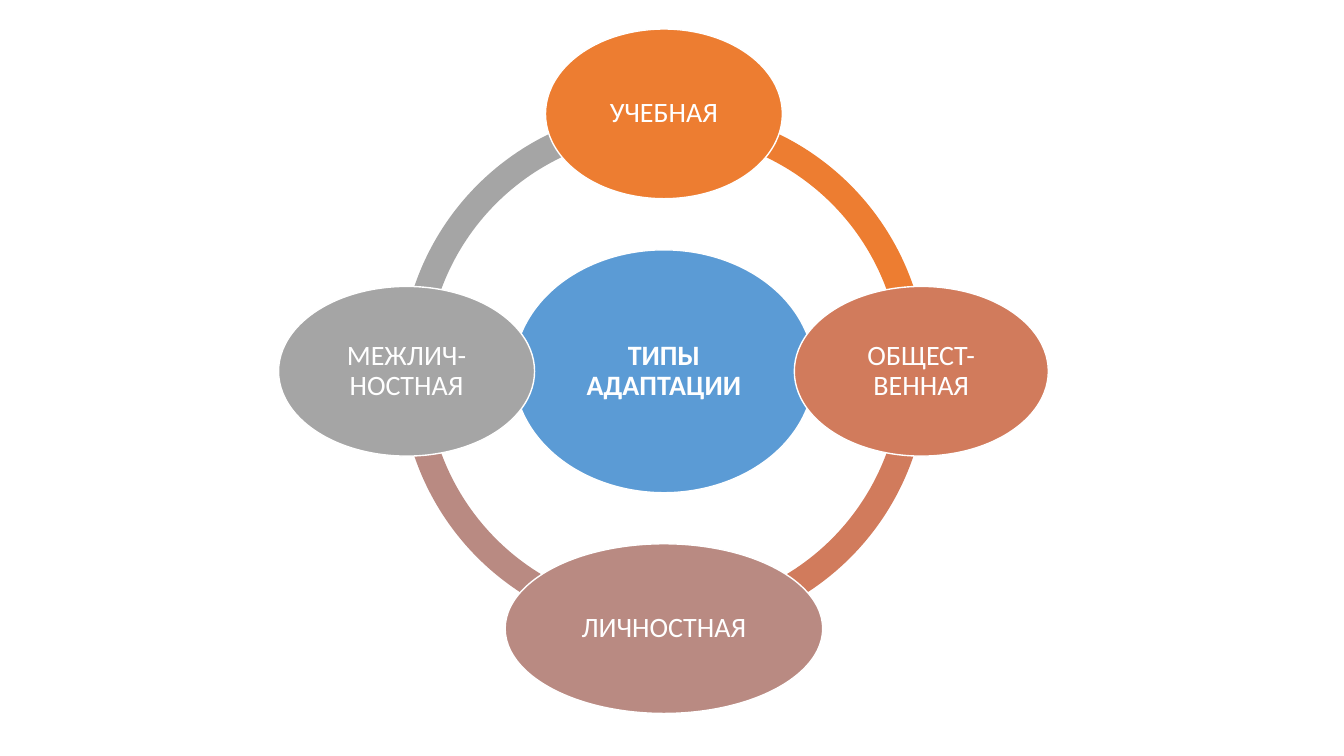
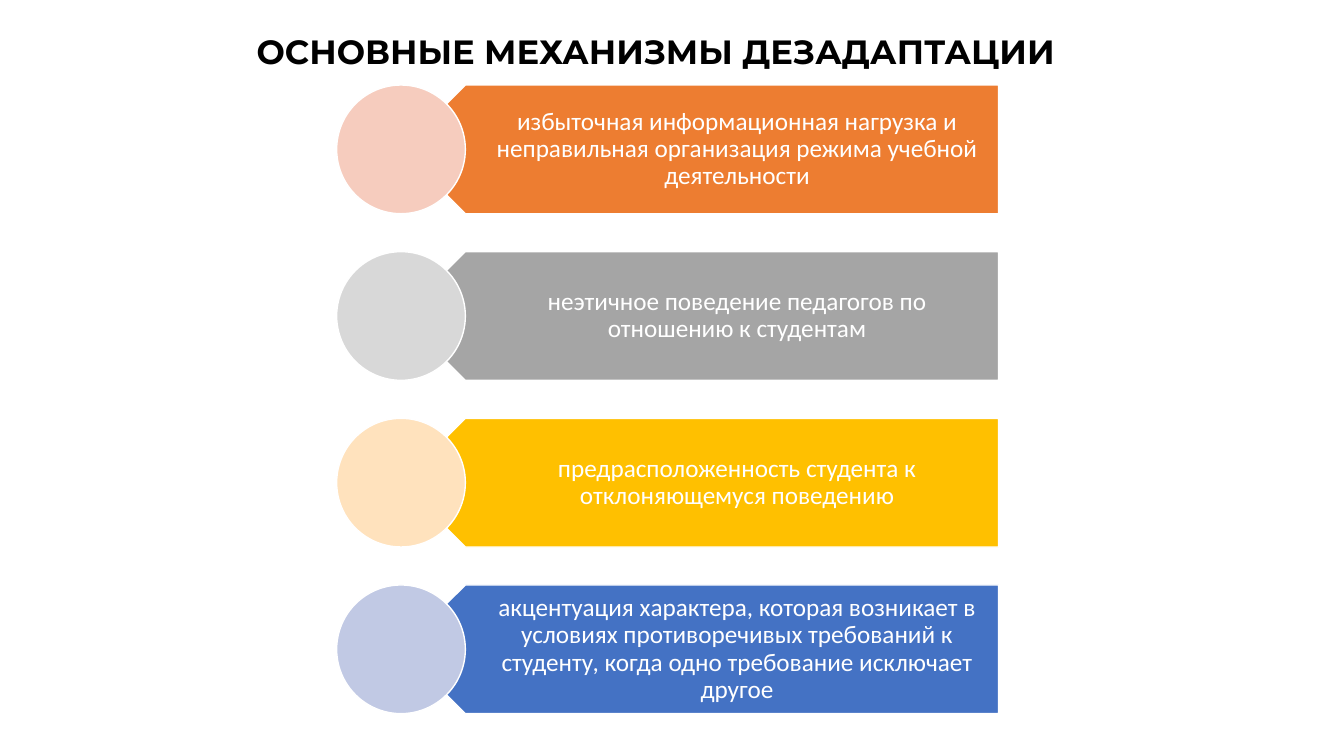
from dataclasses import dataclass
from math import cos, pi, sin

from pptx import Presentation
from pptx import util as u
from pptx.dml import color as c
from pptx.enum import shapes, text

KIND = shapes.MSO_SHAPE


@dataclass(frozen=True)
class Theme:
    white: str = "FFFFFF"
    black: str = "000000"
    blue: str = "5B9BD5"
    orange: str = "ED7D31"
    clay: str = "D17B5C"
    rose: str = "B98A82"
    gray: str = "A5A5A5"
    gold: str = "FFC000"
    navy: str = "4472C4"
    peach: str = "F6CCBE"
    silver: str = "D8D8D8"
    cream: str = "FFE2BD"
    lilac: str = "C1C9E4"
    body: str = "Calibri"
    head: str = "Montserrat"
    title: int = 24
    node: int = 20
    item: int = 18
    edge: int = 1
    lead: float = 0.9


class Deck:
    COLS = 40
    QUARTER = 54

    def __init__(self, theme):
        self.theme = theme
        self.prs = Presentation()
        self.prs.slide_width = u.Inches(13.333)
        self.prs.slide_height = u.Inches(7.5)
        self.slide = None

    def cells(self, *spans):
        unit = self.prs.slide_width / self.COLS
        return [u.Emu(round(span * unit)) for span in spans]

    def blank(self):
        self.slide = self.prs.slides.add_slide(self.prs.slide_layouts[6])

    def titled(self, words, box):
        self.slide = self.prs.slides.add_slide(self.prs.slide_layouts[5])
        title = self.slide.shapes.title
        title.left, title.top, title.width, title.height = self.cells(*box)
        look = self.theme
        self.label(title, words, look.title, look.head, look.black, True)

    def label(self, shape, words, size, face, ink, bold=False, pads=None):
        frame = shape.text_frame
        frame.word_wrap = True
        frame.auto_size = text.MSO_AUTO_SIZE.NONE
        frame.vertical_anchor = text.MSO_ANCHOR.MIDDLE
        if pads:
            (frame.margin_left, frame.margin_top,
             frame.margin_right, frame.margin_bottom) = map(u.Inches, pads)
        para = frame.paragraphs[0]
        para.text = words
        para.alignment = text.PP_ALIGN.CENTER
        para.line_spacing = self.theme.lead
        font = para.font
        font.name, font.size, font.bold = face, u.Pt(size), bold
        font.color.rgb = c.RGBColor.from_string(ink)

    def shape(self, kind, box, fill, edged=True):
        item = self.slide.shapes.add_shape(kind, *self.cells(*box))
        item.shadow.inherit = False
        item.fill.solid()
        item.fill.fore_color.rgb = c.RGBColor.from_string(fill)
        if edged:
            item.line.color.rgb = c.RGBColor.from_string(self.theme.white)
            item.line.width = u.Pt(self.theme.edge)
        else:
            item.line.fill.background()
        return item

    def arc(self, x, y, size, turn, fill):
        box = (x - size / 2, y - size / 2, size, size)
        band = self.shape(KIND.BLOCK_ARC, box, fill, edged=False)
        band.adjustments[0] = (turn + 3) % 4 * self.QUARTER
        band.adjustments[1] = turn * self.QUARTER
        band.adjustments[2] = 0.05

    def node(self, x, y, wide, high, fill, words, bold=False):
        box = (x - wide / 2, y - high / 2, wide, high)
        oval = self.shape(KIND.OVAL, box, fill)
        look = self.theme
        self.label(oval, words, look.node, look.body, look.white, bold,
                   (0.03,) * 4)

    def plate(self, x, y, wide, high, fill, words):
        flag = self.shape(KIND.PENTAGON, (x, y, wide, high), fill)
        flag.element.spPr.xfrm.set("flipH", "1")
        look = self.theme
        self.label(flag, words, look.item, look.body, look.white,
                   pads=(0.56, 0.07, 0.14, 0.07))

    def disc(self, x, y, size, fill):
        self.shape(KIND.OVAL, (x, y, size, size), fill)


def types(deck):
    look = deck.theme
    deck.blank()
    x, y, orbit = 19.76, 11.05, 7.66
    nodes = [
        ("УЧЕБНАЯ", 7.05, look.orange),
        ("ОБЩЕСТ-ВЕННАЯ", 7.56, look.clay),
        ("ЛИЧНОСТНАЯ", 9.45, look.rose),
        ("МЕЖЛИЧ-НОСТНАЯ", 7.62, look.gray),
    ]
    for turn, (_, _, fill) in enumerate(nodes):
        deck.arc(x, y, 15.69, turn, fill)
    deck.node(x, y, 8.94, 7.23, look.blue, "ТИПЫ АДАПТАЦИИ", True)
    for turn, (words, wide, fill) in enumerate(nodes):
        angle = turn * pi / 2
        deck.node(x + orbit * sin(angle), y - orbit * cos(angle),
                  wide, 5.05, fill, words)


def causes(deck):
    look = deck.theme
    deck.titled("ОСНОВНЫЕ МЕХАНИЗМЫ ДЕЗАДАПТАЦИИ", (5.58, 0.9, 27.87, 1.38))
    items = [
        ("избыточная информационная нагрузка и неправильная организация "
         "режима учебной деятельности", look.orange, look.peach),
        ("неэтичное поведение педагогов по отношению к студентам",
         look.gray, look.silver),
        ("предрасположенность студента к отклоняющемуся поведению",
         look.gold, look.cream),
        ("акцентуация характера, которая возникает в условиях "
         "противоречивых требований к студенту, когда одно требование "
         "исключает другое", look.navy, look.lilac),
    ]
    left, top, step, size = 10.02, 2.53, 4.96, 3.83
    for row, (words, fill, tint) in enumerate(items):
        y = top + row * step
        deck.plate(left + size / 2, y, 17.79, size, fill, words)
        deck.disc(left, y, size, tint)


def main():
    deck = Deck(Theme())
    types(deck)
    causes(deck)
    deck.prs.save("out.pptx")


if __name__ == "__main__":
    main()
